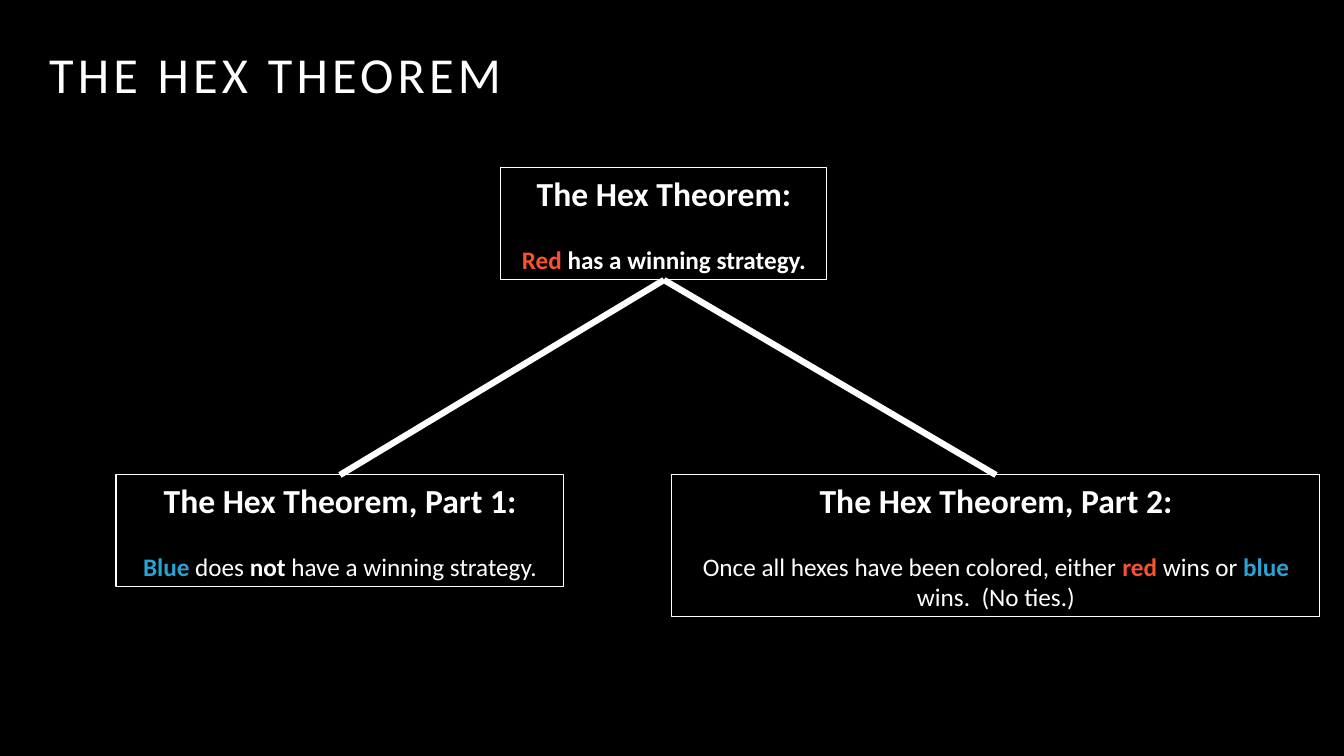
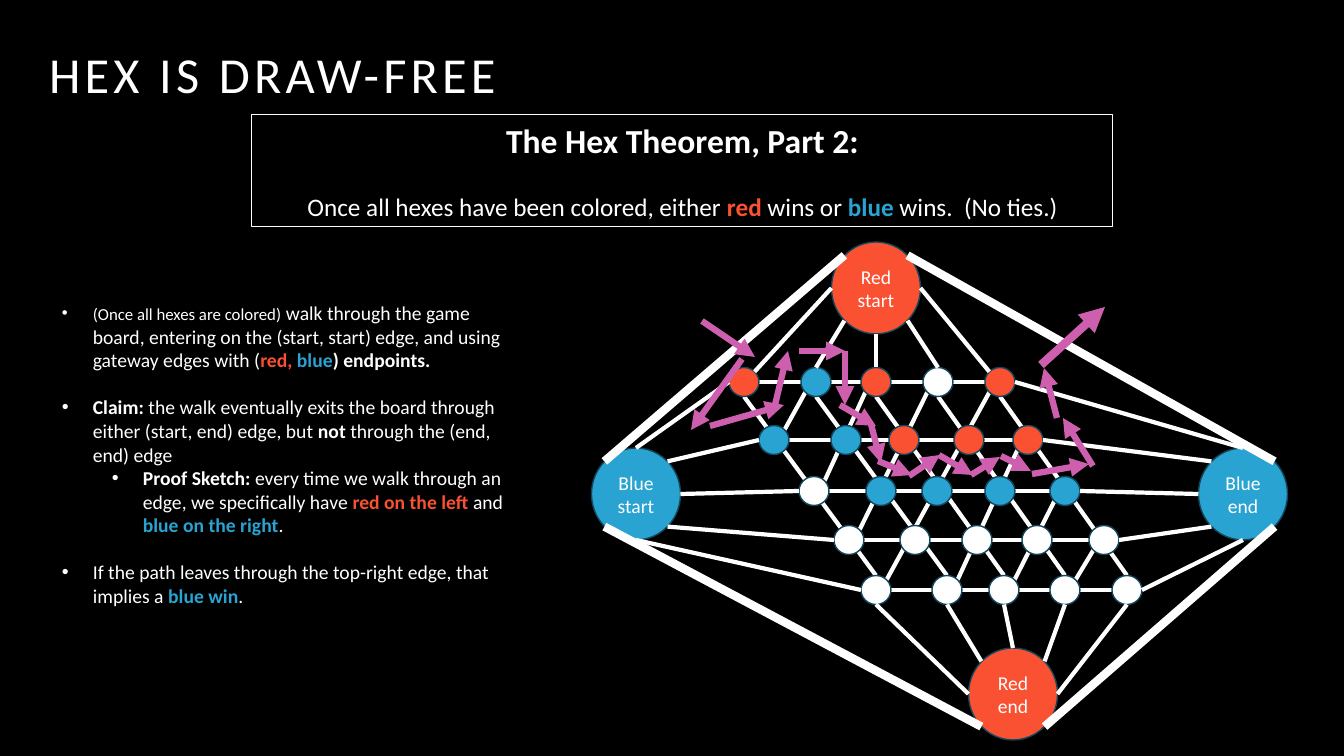
from dataclasses import dataclass

from pptx import Presentation
from pptx import util as u
from pptx.dml.color import RGBColor
from pptx.enum import shapes, text
from pptx.oxml.ns import qn
from lxml import etree

PX = 914400 / 100.8  # EMU in one px


@dataclass(frozen=True)
class Theme:
    font: str = "Calibri"
    black: str = "000000"
    white: str = "FFFFFF"
    red: str = "F95131"
    blue: str = "29A3D2"
    outline: str = "12475C"
    walk: str = "CE5FAE"
    title_size: int = 36
    heading_size: int = 24
    statement_size: int = 18
    body_size: int = 14
    small_size: int = 12
    frame_line: float = 0.75
    node_line: float = 1
    edge_line: float = 3
    heavy_line: float = 4.5
    border_line: float = 6


THEME = Theme()
SLIDE_SIZE = (1344, 756)
TITLE_BOX = (39, 0, 1172, 109)

# Run styles: colour, bold
STYLES = {
    "plain": (THEME.white, False),
    "small": (THEME.white, False),
    "bold": (THEME.white, True),
    "red": (THEME.red, True),
    "blue": (THEME.blue, True),
}

# Theorem statements: heading, runs
WHOLE = ("The Hex Theorem:",
         [("Red", "red"), (" has a winning strategy.", "bold")])
PART_1 = ("The Hex Theorem, Part 1:",
          [("Blue", "blue"), (" does ", "plain"), ("not", "bold"),
           (" have a winning strategy.", "plain")])
PART_2 = ("The Hex Theorem, Part 2:",
          [("Once all hexes have been colored, either ", "plain"), ("red", "red"),
           (" wins or ", "plain"), ("blue", "blue"), (" wins.  (No ties.)", "plain")])

# Proof bullets: level, space before in points, runs
PROOF_BOX = (52, 296, 471, 343)
PROOF = [
    (0, 0, [("(Once all hexes are colored)", "small"),
            (" walk through the game board, entering on the (start, start) edge, "
             "and using gateway edges with (", "plain"),
            ("red, ", "red"), ("blue", "blue"), (") endpoints.", "bold")]),
    (0, 17, [("Claim:", "bold"),
             (" the walk eventually exits the board through either (start, end) edge, but ",
              "plain"),
             ("not", "bold"), (" through the (end, end) edge", "plain")]),
    (1, 0, [("Proof Sketch: ", "bold"),
            ("every time we walk through an edge, we specifically have ", "plain"),
            ("red on the left ", "red"), ("and ", "plain"),
            ("blue on the right", "blue"), (".", "plain")]),
    (0, 17, [("If the path leaves through the top-right edge, that implies a ", "plain"),
             ("blue win", "blue"), (".", "plain")]),
]
BULLET_INDENT = 31
LEVEL_INDENT = 50

# Board rows: centre y, centre x of each node, colours (r, b, w)
ROWS = [
    (382, (744, 816, 876, 938, 1000), "rbrwr"),
    (440, (774, 846, 904, 969, 1028), "bbrrr"),
    (491, (814, 881, 937, 1000, 1065), "wbbbb"),
    (540, (849, 915, 977, 1037, 1104), "wwwww"),
    (590, (876, 947, 1004, 1065, 1127), "wwwww"),
]
NODE_COLOURS = {"r": THEME.red, "b": THEME.blue, "w": THEME.white}
NODE_SIZE = (30, 29)
HUB_SIZE = (89, 92)
HUBS = {  # centre, colour
    "Red start": ((876, 288), THEME.red),
    "Blue start": ((636, 494), THEME.blue),
    "Blue end": ((1243, 494), THEME.blue),
    "Red end": ((1013, 694), THEME.red),
}

# Unit directions of the eight points on a circle
SITES = {"top": (0, -1), "bottom": (0, 1), "left": (-1, 0), "right": (1, 0)}
SITES |= {f"{v} {h}": (0.71 * SITES[h][0], 0.71 * SITES[v][1])
          for v in ("top", "bottom") for h in ("left", "right")}

# Spokes: hub, its sites in order, sites on the five nodes met
LAST = len(ROWS) - 1
SPOKES = [
    ("Red start", ("left", "bottom left", "bottom", "bottom right", "right"),
     ("top right", "top", "top", "top", "top left"), [(0, i) for i in range(5)]),
    ("Blue start", ("top", "top right", "right", "bottom right", "bottom"),
     ("left",) * 5, [(i, 0) for i in range(5)]),
    ("Red end", ("left", "top left", "top", "top right", "right"),
     ("bottom",) * 5, [(LAST, i) for i in range(5)]),
    ("Blue end", ("top", "top left", "left", "bottom left", "bottom"),
     ("right",) * 5, [(i, LAST) for i in range(5)]),
]
# Board borders: two hubs and the site used on both
BORDERS = [
    ("Blue start", "Red start", "top left"),
    ("Blue start", "Red end", "bottom left"),
    ("Red start", "Blue end", "top right"),
    ("Red end", "Blue end", "bottom right"),
]

# Steps of the walk: from x, y to x, y
WALK = [
    (702, 321, 755, 357), (742, 359, 691, 430), (710, 426, 784, 405),
    (775, 405, 788, 351), (799, 351, 845, 351), (845, 351, 845, 405),
    (840, 405, 876, 426), (871, 424, 881, 463), (878, 461, 912, 475),
    (909, 476, 940, 455), (939, 455, 973, 475), (971, 475, 1000, 457),
    (1001, 456, 1031, 471), (1032, 474, 1089, 464), (1093, 466, 1063, 418),
    (1057, 418, 1044, 368),
]
WALK_EXIT = (1041, 365, 1105, 307)


def px(*lengths):
    return [u.Emu(round(length * PX)) for length in lengths]


def colour(value):
    return RGBColor.from_string(value)


def format_run(run, size, style):
    value, bold = STYLES[style]
    run.font.name = THEME.font
    run.font.size = u.Pt(size)
    run.font.bold = bold
    run.font.color.rgb = colour(value)


def add_runs(paragraph, runs, size):
    for wording, style in runs:
        run = paragraph.add_run()
        run.text = wording
        format_run(run, THEME.small_size if style == "small" else size, style)


def add_slide(presentation, title):
    slide = presentation.slides.add_slide(presentation.slide_layouts.get_by_name("Title Only"))
    shape = slide.shapes.title
    shape.left, shape.top, shape.width, shape.height = px(*TITLE_BOX)
    frame = shape.text_frame
    frame.text = title
    frame.auto_size = text.MSO_AUTO_SIZE.NONE
    frame.vertical_anchor = text.MSO_ANCHOR.BOTTOM
    paragraph = frame.paragraphs[0]
    paragraph.alignment = text.PP_ALIGN.LEFT
    paragraph.line_spacing = 1.2
    run = paragraph.runs[0]
    format_run(run, THEME.title_size, "plain")
    run.font._element.set("spc", "300")
    return slide


def add_shape(slide, kind, box, fill, line, width):
    shape = slide.shapes.add_shape(kind, *px(*box))
    shape.shadow.inherit = False
    if fill:
        shape.fill.solid()
        shape.fill.fore_color.rgb = colour(fill)
    else:
        shape.fill.background()
    shape.line.color.rgb = colour(line)
    shape.line.width = u.Pt(width)
    return shape


def add_statement(slide, box, statement):
    heading, runs = statement
    shape = add_shape(slide, shapes.MSO_SHAPE.RECTANGLE, box, None,
                      THEME.white, THEME.frame_line)
    frame = shape.text_frame
    frame.word_wrap = True
    frame.vertical_anchor = text.MSO_ANCHOR.TOP
    add_runs(frame.paragraphs[0], [(heading, "bold")], THEME.heading_size)
    paragraph = frame.add_paragraph()
    paragraph.space_before = u.Pt(22)
    add_runs(paragraph, runs, THEME.statement_size)
    for paragraph in frame.paragraphs:
        paragraph.alignment = text.PP_ALIGN.CENTER
    return shape


def add_line(slide, start, end, value, width, arrow=False):
    connector = slide.shapes.add_connector(shapes.MSO_CONNECTOR.STRAIGHT, *px(*start, *end))
    connector.line.color.rgb = colour(value)
    connector.line.width = u.Pt(width)
    properties = connector.element.spPr
    if arrow:
        etree.SubElement(properties.find(qn("a:ln")), qn("a:tailEnd"), type="triangle")
    etree.SubElement(properties, qn("a:effectLst"))
    return connector


def add_circle(slide, centre, size, fill):
    box = (centre[0] - size[0] / 2, centre[1] - size[1] / 2, *size)
    return add_shape(slide, shapes.MSO_SHAPE.OVAL, box, fill, THEME.outline, THEME.node_line)


def site(centre, size, name):
    return [c + s / 2 * d for c, s, d in zip(centre, size, SITES[name])]


def node_site(row, column, name):
    y, xs, _ = ROWS[row]
    return site((xs[column], y), NODE_SIZE, name)


def hub_site(hub, name):
    return site(HUBS[hub][0], HUB_SIZE, name)


def add_board(slide):
    def edge(start, end, width=THEME.edge_line):
        add_line(slide, start, end, THEME.white, width)

    # Grid lines: rows, columns, then diagonals where row + column is constant
    for i in range(LAST + 1):
        edge(node_site(i, 0, "right"), node_site(i, LAST, "left"))
        edge(node_site(0, i, "bottom"), node_site(LAST, i, "top"))
    for total in range(1, 2 * LAST):
        low, high = max(0, total - LAST), min(total, LAST)
        edge(node_site(low, high, "bottom left"), node_site(high, low, "top right"))

    # Hubs and nodes
    for label, (centre, fill) in HUBS.items():
        frame = add_circle(slide, centre, HUB_SIZE, fill).text_frame
        frame.text = label
        frame.word_wrap = True
        frame.vertical_anchor = text.MSO_ANCHOR.MIDDLE
        frame.paragraphs[0].alignment = text.PP_ALIGN.CENTER
        format_run(frame.paragraphs[0].runs[0], THEME.body_size, "plain")
    for y, xs, letters in ROWS:
        for x, letter in zip(xs, letters):
            add_circle(slide, (x, y), NODE_SIZE, NODE_COLOURS[letter])

    # Spokes and borders
    for hub, hub_sites, node_sites, nodes in SPOKES:
        for hub_name, node_name, node in zip(hub_sites, node_sites, nodes):
            edge(hub_site(hub, hub_name), node_site(*node, node_name))
    for first, second, name in BORDERS:
        edge(hub_site(first, name), hub_site(second, name), THEME.border_line)


def add_proof(slide):
    frame = slide.shapes.add_textbox(*px(*PROOF_BOX)).text_frame
    frame.word_wrap = True
    for index, (level, space, runs) in enumerate(PROOF):
        paragraph = frame.add_paragraph() if index else frame.paragraphs[0]
        paragraph.level = level
        paragraph.space_before = u.Pt(space)
        add_runs(paragraph, runs, THEME.body_size)
        margin, indent = px(BULLET_INDENT + level * LEVEL_INDENT, -BULLET_INDENT)
        properties = paragraph._p.get_or_add_pPr()
        properties.set("marL", str(margin))
        properties.set("indent", str(indent))
        etree.SubElement(properties, qn("a:buFont"), typeface="Arial")
        etree.SubElement(properties, qn("a:buChar"), char="•")


def build_theorem(presentation):
    slide = add_slide(presentation, "THE HEX THEOREM")
    whole = add_statement(slide, (501, 168, 326, 112), WHOLE)
    parts = [add_statement(slide, (116, 475, 448, 112), PART_1),
             add_statement(slide, (672, 475, 648, 142), PART_2)]
    for part in parts:
        connector = add_line(slide, (0, 0), (0, 0), THEME.white, THEME.heavy_line)
        connector.begin_connect(whole, 2)
        connector.end_connect(part, 0)


def build_draw_free(presentation):
    slide = add_slide(presentation, "HEX IS DRAW-FREE")
    add_statement(slide, (252, 115, 861, 112), PART_2)
    add_board(slide)
    add_proof(slide)
    for step in WALK:
        add_line(slide, step[:2], step[2:], THEME.walk, THEME.heavy_line, arrow=True)
    add_line(slide, WALK_EXIT[:2], WALK_EXIT[2:], THEME.walk, THEME.border_line, arrow=True)


def main():
    presentation = Presentation()
    presentation.slide_width, presentation.slide_height = px(*SLIDE_SIZE)
    background = presentation.slide_master.background.fill
    background.solid()
    background.fore_color.rgb = colour(THEME.black)
    build_theorem(presentation)
    build_draw_free(presentation)
    presentation.save("out.pptx")


if __name__ == "__main__":
    main()
